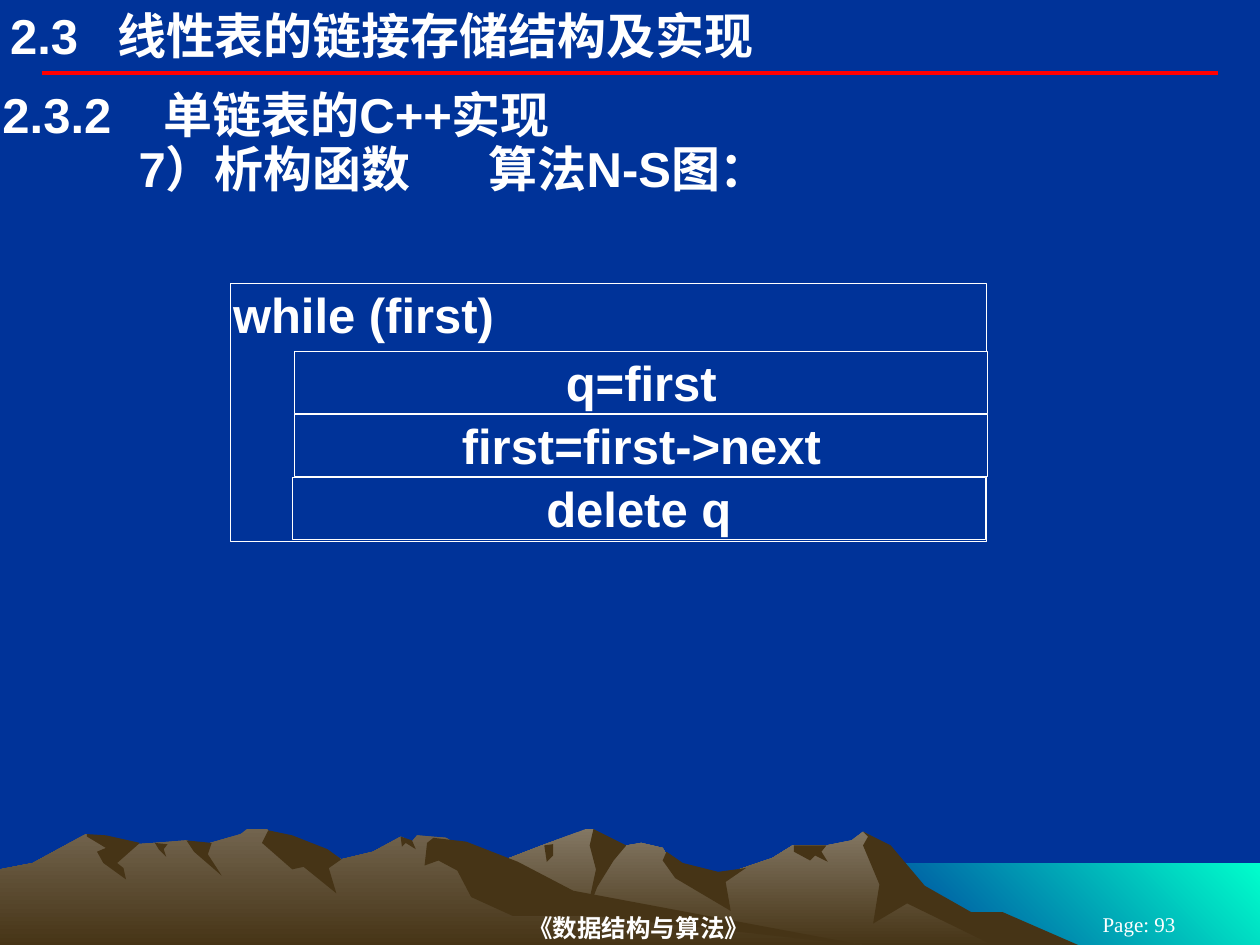
"""Build the slide on the destructor of a singly linked list, with its N-S diagram."""
from lxml import etree
from pptx import Presentation
from pptx.dml.color import RGBColor
from pptx.enum import shapes, text
from pptx.oxml import ns
from pptx.util import Inches, Pt

BLUE = RGBColor(0x00, 0x33, 0x99)
AQUA = RGBColor(0x00, 0xFF, 0xCC)
WHITE = RGBColor(0xFF, 0xFF, 0xFF)
RED = RGBColor(0xFF, 0x00, 0x00)
BROWN = RGBColor(0x46, 0x34, 0x16)
TAN = RGBColor(0x83, 0x77, 0x63)
UMBER = RGBColor(0x72, 0x64, 0x4E)

LEFT, CENTER = text.PP_ALIGN.LEFT, text.PP_ALIGN.CENTER
TOP, MIDDLE = text.MSO_ANCHOR.TOP, text.MSO_ANCHOR.MIDDLE
DOWN, DOWN_LEFT = 270, 225
GROUND = 7.51

HEADINGS = [
    ("2.3\t线性表的链接存储结构及实现", (0.06, 0.03, 6.52, 0.49), 0.85),
    ("2.3.2\t单链表的C++实现", (0, 0.66, 10, 0.49), 1.28),
    ("7）析构函数\t算法N-S图：", (1.08, 1.09, 8.92, 0.49), 2.78),
]
FOOTERS = [
    ("《数据结构与算法》", (2.04, 7.22, 6.06, 0.28), 14, True),
    ("Page: 93", (8.25, 7.25, 1.58, 0.17), 12, False),
]

LOOP_HEAD = ("while (first)", (1.83, 2.25, 6, 2.05))
LOOP_BODY = [("q=first", 2.34), ("first=first->next", 2.34), ("delete q", 2.32)]
BODY_TOP, BODY_STEP = 2.79, 0.5
BODY_WIDTH, BODY_HEIGHT = 5.5, 0.49

SEA = (6.83, 6.85, 10, 7.52)
RIGHT_RANGE = {
    "crest": TAN,
    "base": (2.58, 8.21),
    "ridge": [(3.27, 7.09), (3.94, 6.85), (4.3, 6.71), (4.65, 6.58), (4.71, 6.58),
              (4.86, 6.73), (5.09, 6.69), (5.26, 6.73), (5.36, 6.9), (5.66, 6.97),
              (6.13, 6.81), (6.29, 6.71), (6.56, 6.71), (6.76, 6.67), (6.85, 6.6),
              (7.02, 6.71), (7.23, 6.98), (7.64, 7.23)],
    "shadows": {
        "east slope": [(6.85, 6.6), (7.07, 6.71), (7.34, 7.03), (7.71, 7.24), (7.96, 7.24),
                       (8.58, 7.51), (7.92, 7.52), (7.2, 7.17), (6.93, 7.33), (6.98, 7.02),
                       (6.85, 6.71), (6.89, 6.64)],
        "middle peak": [(4.71, 6.58), (4.97, 6.71), (4.87, 6.83), (4.74, 7.04), (4.65, 7.27),
                        (4.73, 6.9), (4.68, 6.71)],
        "saddle": [(5.29, 6.76), (5.42, 6.85), (5.7, 6.92), (5.92, 6.89), (5.76, 7),
                   (5.8, 7.23), (5.36, 6.97), (5.26, 6.83)],
        "notch": [(6.3, 6.71), (6.56, 6.71), (6.52, 6.76), (6.57, 6.84), (6.47, 6.79),
                  (6.43, 6.83), (6.3, 6.76)],
        "crack": [(4.32, 6.71), (4.39, 6.7), (4.39, 6.79), (4.34, 6.84)],
    },
}
LEFT_RANGE = {
    "crest": UMBER,
    "base": (0, 6.9),
    "ridge": [(0, 6.9), (0.26, 6.85), (0.68, 6.62), (0.94, 6.71), (1.23, 6.69),
              (1.48, 6.67), (1.6, 6.71), (1.91, 6.62), (1.96, 6.58), (2.12, 6.58),
              (2.36, 6.81), (2.6, 6.76), (2.71, 6.82), (2.96, 6.76), (3.18, 6.64),
              (3.27, 6.68), (3.31, 6.63), (3.54, 6.65), (4.32, 7.12)],
    "shadows": {
        "high peak": [(2.13, 6.59), (2.32, 6.63), (2.6, 6.74), (2.71, 6.82), (2.61, 6.89),
                      (2.67, 7.09), (2.41, 6.88), (2.32, 6.9), (2.08, 6.69)],
        "long slope": [(3.39, 6.69), (3.44, 6.65), (3.7, 6.68), (4.11, 6.84), (4.55, 7.07),
                       (6.9, 7.51), (4.72, 7.27), (4.07, 7.27), (3.74, 7.12), (3.63, 6.91),
                       (3.48, 6.83), (3.37, 6.87)],
        "notch": [(3.18, 6.64), (3.27, 6.67), (3.3, 6.74), (3.22, 6.69), (3.19, 6.72)],
        "gully": [(1.48, 6.67), (1.68, 6.69), (1.65, 6.78), (1.76, 6.95), (1.54, 6.76)],
        "crack": [(1.23, 6.69), (1.33, 6.7), (1.3, 6.74), (1.32, 6.8), (1.26, 6.74)],
        "west peak": [(0.69, 6.62), (0.84, 6.63), (1.11, 6.69), (0.93, 6.85), (0.98, 6.89),
                      (1, 6.98), (0.82, 6.85), (0.77, 6.76), (0.84, 6.73), (0.69, 6.64)],
    },
}


def paint(sp, colours, angle):
    if len(colours) == 1:
        sp.fill.solid()
        sp.fill.fore_color.rgb = colours[0]
        return
    sp.fill.gradient()
    sp.fill.gradient_angle = angle
    for stop, colour in zip(sp.fill.gradient_stops, colours):
        stop.color.rgb = colour


def add_outline(s, points, *colours, angle=DOWN):
    start, *rest = [(Inches(x), Inches(y)) for x, y in points]
    builder = s.shapes.build_freeform(*start)
    builder.add_line_segments(rest, close=True)
    sp = builder.convert_to_shape()
    sp.shadow.inherit = False
    sp.line.fill.background()
    paint(sp, colours, angle)


def add_sea(s):
    left, top, right, bottom = SEA
    corners = [(left, top), (right, top), (right, bottom), (left, bottom)]
    add_outline(s, corners, AQUA, BLUE, angle=DOWN_LEFT)


def add_range(s, mountains):
    west, east = mountains["base"]
    body = [(west, GROUND), *mountains["ridge"], (east, GROUND)]
    add_outline(s, body, mountains["crest"], BROWN)
    for shadow in mountains["shadows"].values():
        add_outline(s, shadow, BROWN)


def add_rule(s):
    rule = s.shapes.add_connector(
        shapes.MSO_CONNECTOR.STRAIGHT, *map(Inches, (0.33, 0.58, 9.67, 0.58)))
    rule.line.color.rgb = RED
    rule.line.width = Pt(2.25)
    etree.SubElement(rule._element.spPr, ns.qn("a:effectLst"))


def write(sp, words, size=28, bold=True, font="Arial", align=LEFT, anchor=TOP, tab=None):
    tf = sp.text_frame
    tf.word_wrap = True
    tf.vertical_anchor = anchor
    tf.margin_left = tf.margin_right = Inches(0.02)
    tf.margin_top = tf.margin_bottom = Inches(0.01)
    p = tf.paragraphs[0]
    p.alignment = align
    if tab:
        tabs = etree.SubElement(p._p.get_or_add_pPr(), ns.qn("a:tabLst"))
        etree.SubElement(tabs, ns.qn("a:tab"), pos=str(Inches(tab)), algn="l")
    r = p.add_run()
    r.text = words
    r.font.name, r.font.size, r.font.bold = font, Pt(size), bold
    r.font.color.rgb = WHITE


def add_label(s, words, box, **style):
    write(s.shapes.add_textbox(*map(Inches, box)), words, **style)


def add_block(s, words, box, align=CENTER, filled=True):
    sp = s.shapes.add_shape(shapes.MSO_SHAPE.RECTANGLE, *map(Inches, box))
    sp.shadow.inherit = False
    if filled:
        paint(sp, [BLUE], None)
    else:
        sp.fill.background()
    sp.line.color.rgb = WHITE
    sp.line.width = Pt(0.75)
    write(sp, words, align=align)


def add_diagram(s):
    add_block(s, *LOOP_HEAD, align=LEFT, filled=False)
    for i, (words, left) in enumerate(LOOP_BODY):
        add_block(s, words, (left, BODY_TOP + i * BODY_STEP, BODY_WIDTH, BODY_HEIGHT))


def main():
    prs = Presentation()
    prs.slide_width, prs.slide_height = Inches(10), Inches(7.5)
    s = prs.slides.add_slide(prs.slide_layouts[6])
    paint(s.background, [BLUE], None)
    add_sea(s)
    for mountains in (RIGHT_RANGE, LEFT_RANGE):
        add_range(s, mountains)
    add_rule(s)
    for words, box, size, bold in FOOTERS:
        add_label(s, words, box, size=size, bold=bold, font="Times New Roman",
                  align=CENTER, anchor=MIDDLE)
    for words, box, tab in HEADINGS:
        add_label(s, words, box, tab=tab)
    add_diagram(s)
    prs.save("out.pptx")


if __name__ == "__main__":
    main()
